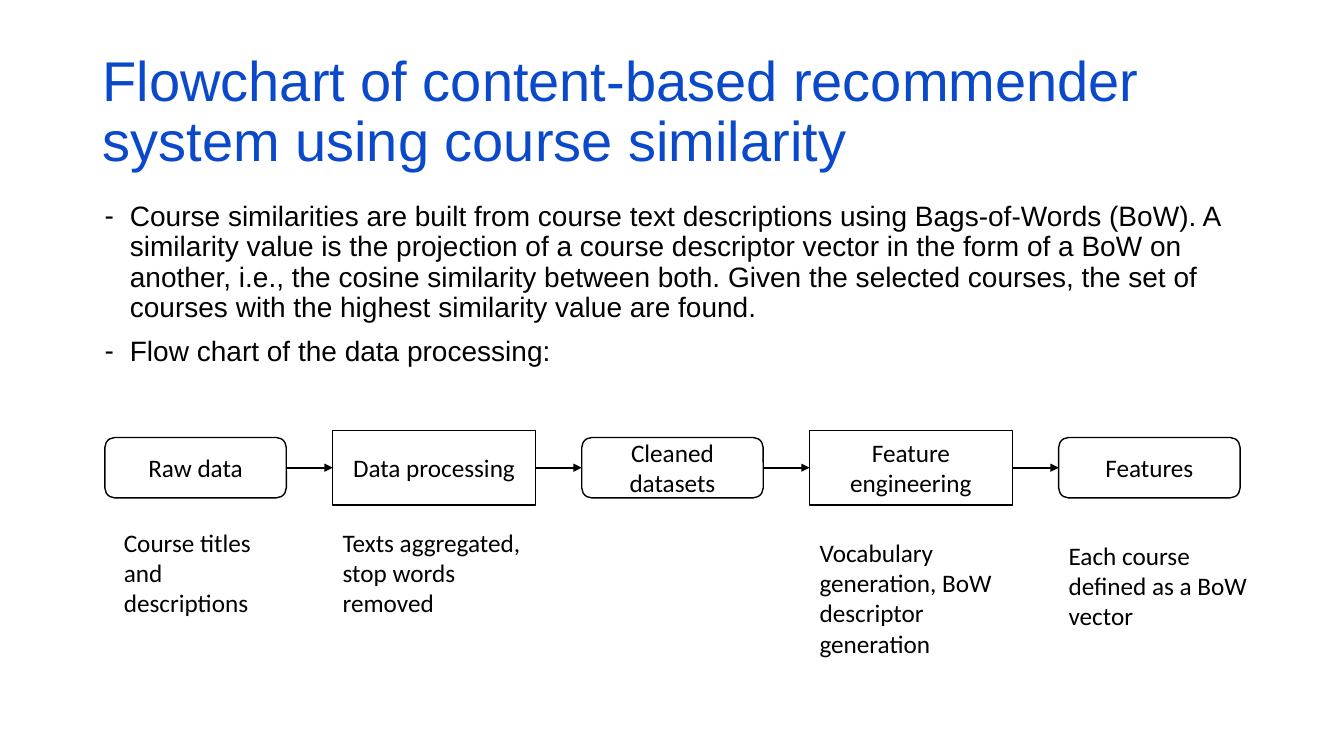
from lxml import etree
from pptx import Presentation
from pptx.dml.color import RGBColor
from pptx.enum.shapes import MSO_CONNECTOR, MSO_SHAPE
from pptx.enum.text import MSO_ANCHOR, PP_ALIGN
from pptx.oxml.ns import qn
from pptx.util import Inches, Pt

COLORS = {"title": "0B49CB", "ink": "000000", "paper": "FFFFFF"}


def add_run(paragraph, text, size, font, color="ink"):
    run = paragraph.add_run()
    run.text = text
    run.font.size = Pt(size)
    run.font.name = font
    run.font.color.rgb = RGBColor.from_string(COLORS[color])


def add_text_frame(slide, left, top, width, height):
    box = slide.shapes.add_textbox(Inches(left), Inches(top), Inches(width), Inches(height))
    box.text_frame.word_wrap = True
    return box.text_frame


presentation = Presentation()
presentation.slide_width = Inches(13.33)
presentation.slide_height = Inches(7.5)
slide = presentation.slides.add_slide(presentation.slide_layouts[6])

# Title
title_frame = add_text_frame(slide, 0.92, 0.4, 11.5, 1.45)
title_frame.vertical_anchor = MSO_ANCHOR.MIDDLE
title_paragraph = title_frame.paragraphs[0]
title_paragraph.line_spacing = 0.9
add_run(title_paragraph, "Flowchart of content-based recommender system using course similarity",
        40, "Arial", "title")

# Dashed list
points = [
    "Course similarities are built from course text descriptions using Bags-of-Words (BoW). "
    "A similarity value is the projection of a course descriptor vector in the form of a BoW "
    "on another, i.e., the cosine similarity between both. Given the selected courses, the "
    "set of courses with the highest similarity value are found.",
    "Flow chart of the data processing:",
]
list_frame = add_text_frame(slide, 0.94, 1.96, 11.5, 2.04)
for index, point in enumerate(points):
    paragraph = list_frame.add_paragraph() if index else list_frame.paragraphs[0]
    paragraph.line_spacing = 0.9
    paragraph.space_before = Pt(10)
    properties = paragraph._p.get_or_add_pPr()
    properties.set("marL", str(Inches(0.25)))
    properties.set("indent", str(Inches(-0.25)))
    etree.SubElement(properties, qn("a:buFont")).set("typeface", "Arial")
    etree.SubElement(properties, qn("a:buChar")).set("char", "-")
    add_run(paragraph, point, 20, "Arial")

# Flowchart: data steps are rounded, processing steps are rectangles
steps = ["Raw data", "Data processing", "Cleaned datasets", "Feature engineering", "Features"]
middle, gap = 4.64, 0.46
left = 1.04
for index, step in enumerate(steps):
    is_process = index % 2 == 1
    width, height = (2.01, 0.74) if is_process else (1.8, 0.6)
    kind = MSO_SHAPE.RECTANGLE if is_process else MSO_SHAPE.ROUNDED_RECTANGLE
    shape = slide.shapes.add_shape(kind, Inches(left), Inches(middle - height / 2),
                                   Inches(width), Inches(height))
    shape.shadow.inherit = False
    if is_process:
        shape.fill.solid()
        shape.fill.fore_color.rgb = RGBColor.from_string(COLORS["paper"])
    else:
        shape.fill.background()
    shape.line.color.rgb = RGBColor.from_string(COLORS["ink"])
    shape.line.width = Pt(1)
    shape.text_frame.word_wrap = True
    shape.text_frame.vertical_anchor = MSO_ANCHOR.MIDDLE
    paragraph = shape.text_frame.paragraphs[0]
    paragraph.alignment = PP_ALIGN.CENTER
    add_run(paragraph, step, 18, "Calibri")
    left += width

    # Arrow to the next step
    if index < len(steps) - 1:
        arrow = slide.shapes.add_connector(MSO_CONNECTOR.STRAIGHT, Inches(left), Inches(middle),
                                           Inches(left + gap), Inches(middle))
        arrow.line.color.rgb = RGBColor.from_string(COLORS["ink"])
        arrow.line.width = Pt(1.25)
        etree.SubElement(arrow.line._get_or_add_ln(), qn("a:tailEnd")).set("type", "triangle")
        etree.SubElement(arrow._element.spPr, qn("a:effectLst"))
    left += gap

# Captions under the steps
captions = [
    ("Course titles and descriptions", 1.13, 5.18, 1.7, 1.01),
    ("Texts aggregated, stop words removed", 3.3, 5.18, 2.01, 1.01),
    ("Vocabulary generation, BoW descriptor generation", 8.03, 5.28, 2.01, 1.31),
    ("Each course defined as a BoW vector", 10.5, 5.31, 2.01, 1.01),
]
for caption, *position in captions:
    caption_frame = add_text_frame(slide, *position)
    add_run(caption_frame.paragraphs[0], caption, 18, "Calibri")

presentation.save("out.pptx")
